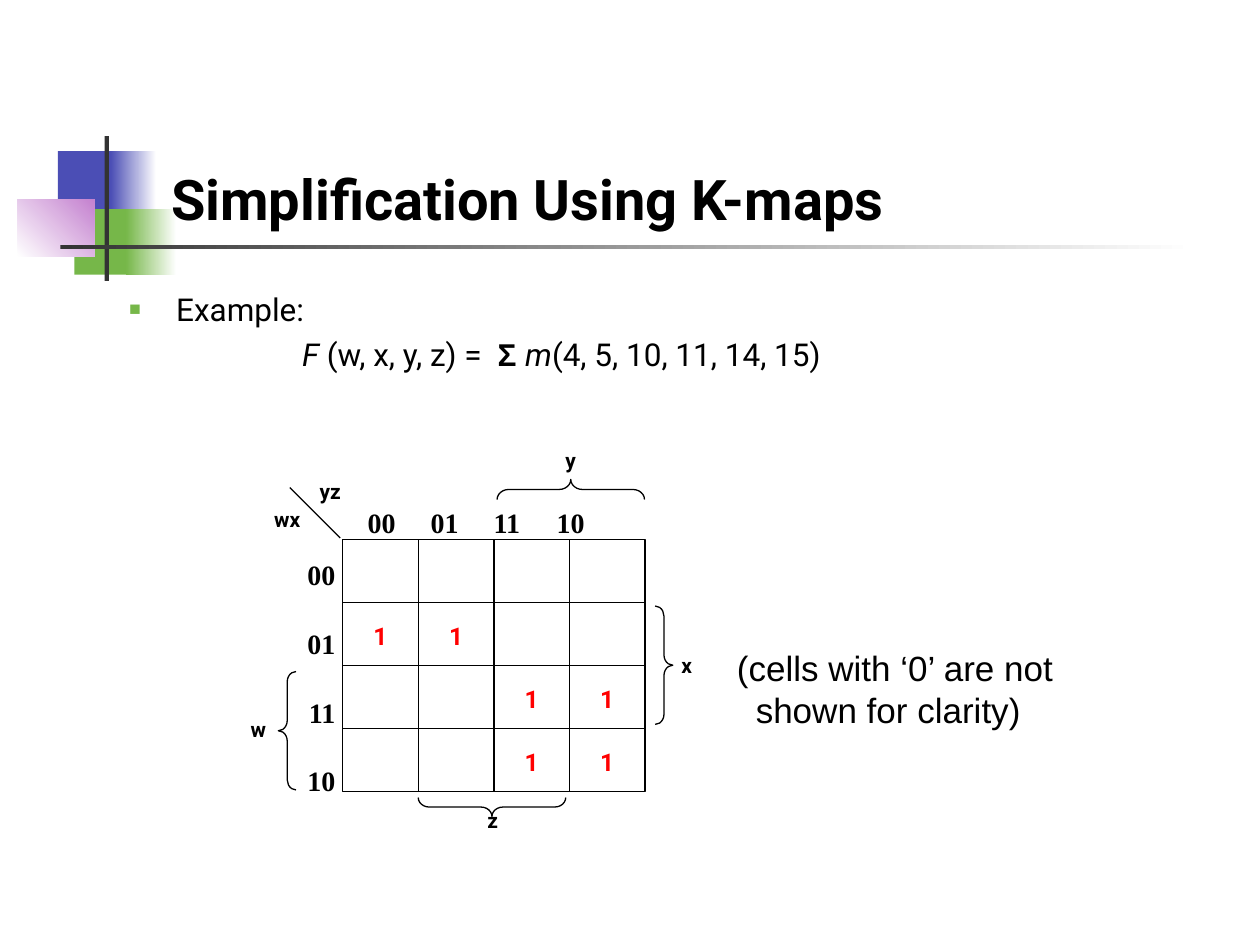
from lxml import etree
from pptx import Presentation, util as u
from pptx.dml.color import RGBColor
from pptx.enum import shapes as sh, text as tx
from pptx.oxml.ns import qn

COLS, ROWS = 100, 75           # slide grid
BLACK, RED, GREEN = "000000", "FF0000", "76B749"
BLUE, PINK, GREY, WHITE = "4B4EB5", "C481CF", "333333", "FFFFFF"
LEFT, CENTER, RIGHT = tx.PP_ALIGN.LEFT, tx.PP_ALIGN.CENTER, tx.PP_ALIGN.RIGHT


def color(hex_string):
    return RGBColor.from_string(hex_string)


def add_xml(parent, tag, **attributes):
    return etree.SubElement(parent, qn(tag), attributes)


class SlideBuilder:
    font, line_width = "Roboto", 0.75

    def __init__(self, prs):
        self.unit = prs.slide_width / COLS
        self.slide = prs.slides.add_slide(prs.slide_layouts[6])

    def grid(self, *lengths):
        return [u.Emu(round(n * self.unit)) for n in lengths]

    def shape(self, kind, box, fill=None, gradient=None, angle=0, line=None):
        shape = self.slide.shapes.add_shape(kind, *self.grid(*box))
        shape.shadow.inherit = False
        if gradient:
            shape.fill.gradient()
            shape.fill.gradient_angle = angle
            for stop, shade in zip(shape.fill.gradient_stops, gradient):
                stop.color.rgb = color(shade)
        elif fill:
            shape.fill.solid()
            shape.fill.fore_color.rgb = color(fill)
        else:
            shape.fill.background()
        if line:
            shape.line.color.rgb = color(line)
            shape.line.width = u.Pt(self.line_width)
        else:
            shape.line.fill.background()
        return shape

    def bar(self, *box, **style):
        return self.shape(sh.MSO_SHAPE.RECTANGLE, box, **style)

    def brace(self, kind, *box, rotation=0):
        brace = self.shape(kind, box, line=BLACK)
        brace.adjustments[0] = 0.58
        brace.rotation = rotation

    def line(self, x1, y1, x2, y2):
        line = self.slide.shapes.add_connector(
            sh.MSO_CONNECTOR.STRAIGHT, *self.grid(x1, y1, x2, y2))
        line.line.color.rgb = color(BLACK)
        line.line.width = u.Pt(self.line_width)
        add_xml(line._element.spPr, "a:effectLst")
        return line

    def text(self, box, *paragraphs, anchor=tx.MSO_ANCHOR.TOP):
        """Each paragraph is (runs, paragraph options); a run is (text, font options)."""
        frame = self.slide.shapes.add_textbox(*self.grid(*box)).text_frame
        frame.word_wrap = True
        frame.vertical_anchor = anchor
        for i, (runs, options) in enumerate(paragraphs):
            paragraph = frame.add_paragraph() if i else frame.paragraphs[0]
            self.paragraph(paragraph, **options)
            for words, style in runs:
                self.run(paragraph, words, **style)

    def paragraph(self, paragraph, align=LEFT, before=0, indent=0, hang=0,
                  bullet=None, tabs=()):
        paragraph.alignment = align
        paragraph.space_before = u.Pt(before)
        props = paragraph._p.get_or_add_pPr()
        margin, first = self.grid(indent, -hang)
        props.set("marL", str(margin))
        props.set("indent", str(first))
        if bullet:
            add_xml(add_xml(props, "a:buClr"), "a:srgbClr", val=GREEN)
            add_xml(props, "a:buSzPct", val="120000")
            add_xml(props, "a:buFont", typeface="Arial")
            add_xml(props, "a:buChar", char=bullet)
        if tabs:
            stops = add_xml(props, "a:tabLst")
            for position in self.grid(*tabs):
                add_xml(stops, "a:tab", pos=str(position), algn="l")

    def run(self, paragraph, words, size=18, font=None, bold=False,
            italic=False, shade=BLACK):
        run = paragraph.add_run()
        run.text = words
        run.font.name = font or self.font
        run.font.size = u.Pt(size)
        run.font.bold, run.font.italic = bold, italic
        run.font.color.rgb = color(shade)

    def label(self, box, words, size=12, shade=BLACK):
        run = (words, dict(size=size, bold=True, shade=shade))
        self.text(box, ([run], dict(align=CENTER)))


def main():
    prs = Presentation()
    prs.slide_width, prs.slide_height = u.Inches(10), u.Inches(7.5)
    s = SlideBuilder(prs)

    # Corner ornament and title rule
    s.bar(4.6, 12, 4.8, 5.2, fill=BLUE)
    s.bar(8.8, 12, 3.6, 5.2, gradient=(BLUE, WHITE))
    s.bar(5.9, 16.6, 4.6, 5.2, fill=GREEN)
    s.bar(10, 16.6, 4, 5.2, gradient=(GREEN, WHITE))
    s.bar(1.4, 15.8, 6.1, 4.6, gradient=(WHITE, PINK), angle=45)
    s.bar(8.3, 10.8, 0.35, 11.5, fill=GREY)
    s.bar(4.8, 19.45, 90, 0.35, gradient=(GREY, WHITE))

    # Title and function
    s.text((12.6, 6.7, 85.2, 12.2),
           ([("Simplification Using K-maps", dict(size=32, bold=True))], {}),
           anchor=tx.MSO_ANCHOR.BOTTOM)
    s.text((9.2, 22.5, 88.3, 14),
           ([("Example:", {})], dict(indent=3.8, hang=3.8, bullet="▪")),
           ([("F", dict(italic=True)), (" (w, x, y, z) =  ", {}),
             ("Σ ", dict(font="Arial", bold=True)), ("m", dict(italic=True)),
             ("(4, 5, 10, 11, 14, 15)", {})], dict(before=4.5, indent=13.8)))

    # K-map grid: four columns by four rows
    left, top, cell_w, cell_h, count = 27.2, 42.8, 6, 5, 4
    right, bottom = left + count * cell_w, top + count * cell_h
    kmap = s.bar(left, top, right - left, bottom - top, line=BLACK)
    for i in range(1, count):
        x, y = left + i * cell_w, top + i * cell_h
        column_line = s.line(x, top, x, bottom)
        row_line = s.line(left, y, right, y)
        if i == count // 2:
            column_line.begin_connect(kmap, 0)
            column_line.end_connect(kmap, 2)
            row_line.begin_connect(kmap, 1)
            row_line.end_connect(kmap, 3)

    # Minterms as (row, column)
    for row, column in ((1, 0), (1, 1), (2, 2), (2, 3), (3, 2), (3, 3)):
        s.label((left + column * cell_w, top + row * cell_h + 1, cell_w, 4),
                "1", size=14, shade=RED)

    # Gray-code headings
    heading = dict(size=16, font="Times New Roman", bold=True)
    codes = ("00", "01", "11", "10")
    s.text((28.2, 39.6, 22.4, 4),
           ([("\t".join(codes), heading)], dict(tabs=(6.1, 11.7, 17.7))))
    s.text((23.2, 43.8, 4.4, 20.7),
           *(([(code, heading)], dict(align=RIGHT, before=20 if i else 0))
             for i, code in enumerate(codes)))

    # Braces marking where each variable is 1
    left_brace, right_brace = sh.MSO_SHAPE.LEFT_BRACE, sh.MSO_SHAPE.RIGHT_BRACE
    s.brace(left_brace, 22.1, 53.3, 1.4, 9.4)
    s.brace(right_brace, 52, 48.1, 1.4, 9.4)
    s.brace(left_brace, 44.5, 33, 1.6, 11.7, rotation=90)
    s.brace(left_brace, 38.3, 58.2, 1.5, 11.7, rotation=270)

    # Variable names and the corner diagonal
    s.line(left - 0.2, top - 0.1, left - 4.2, top - 4.1)
    for name, *box in (("w", 18.3, 56.4, 4.4, 4), ("x", 52.3, 51.3, 4.4, 4),
                       ("y", 43.1, 35, 4.4, 3.2), ("z", 36.9, 63.6, 4.4, 3),
                       ("wx", 20.2, 39.7, 5.2, 3.6), ("yz", 23.6, 37.5, 5.2, 3.2)):
        s.label(box, name)

    # Note on empty cells
    note = dict(size=20, font="Arial")
    s.text((57.5, 50.8, 30, 7.7),
           ([("(cells with ‘0’ are not", note)], {}),
           ([("shown for clarity)", note)], dict(indent=1.5)))

    prs.save("out.pptx")


if __name__ == "__main__":
    main()
